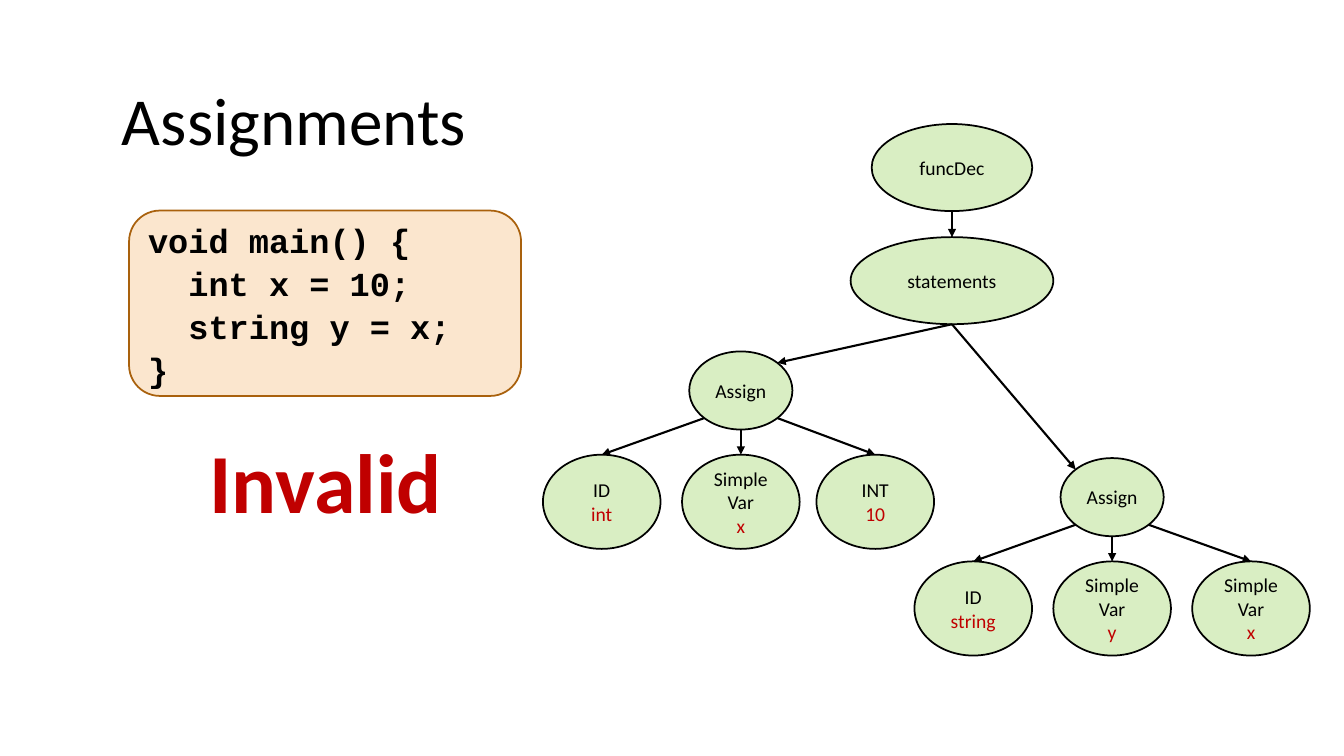
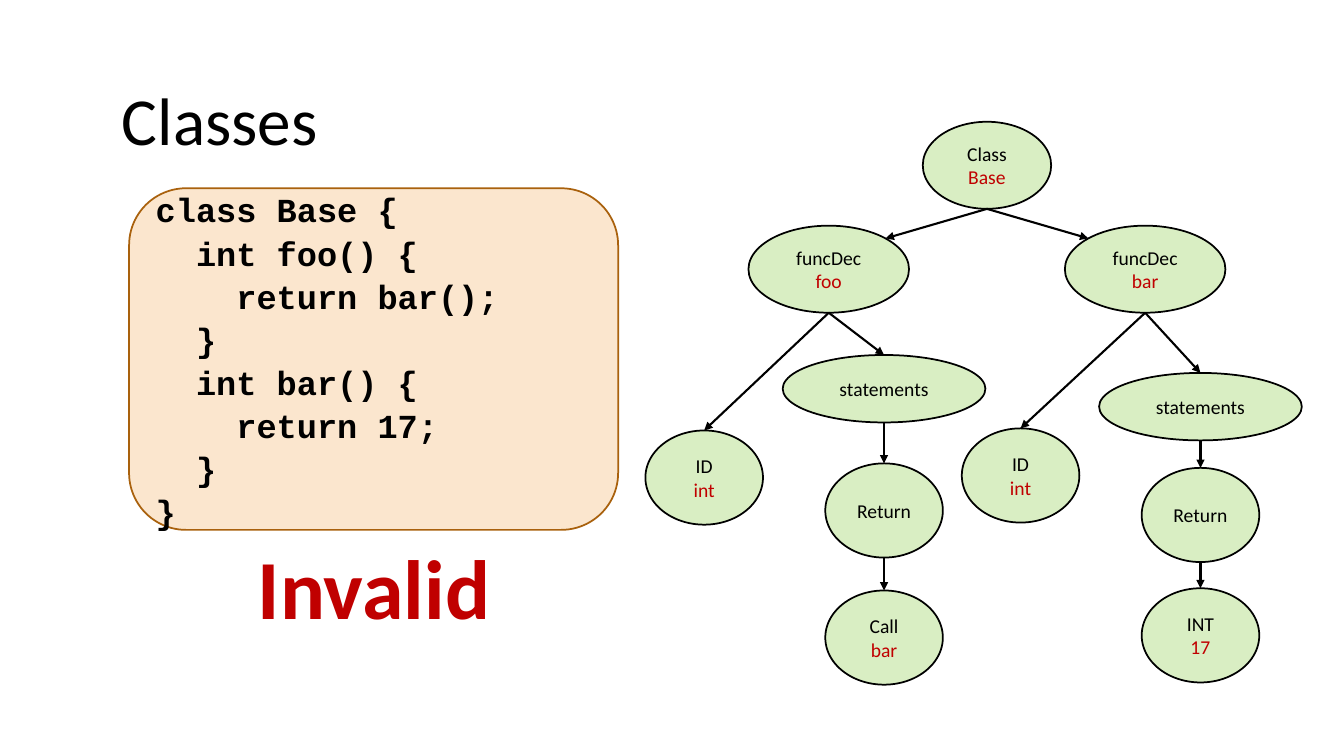
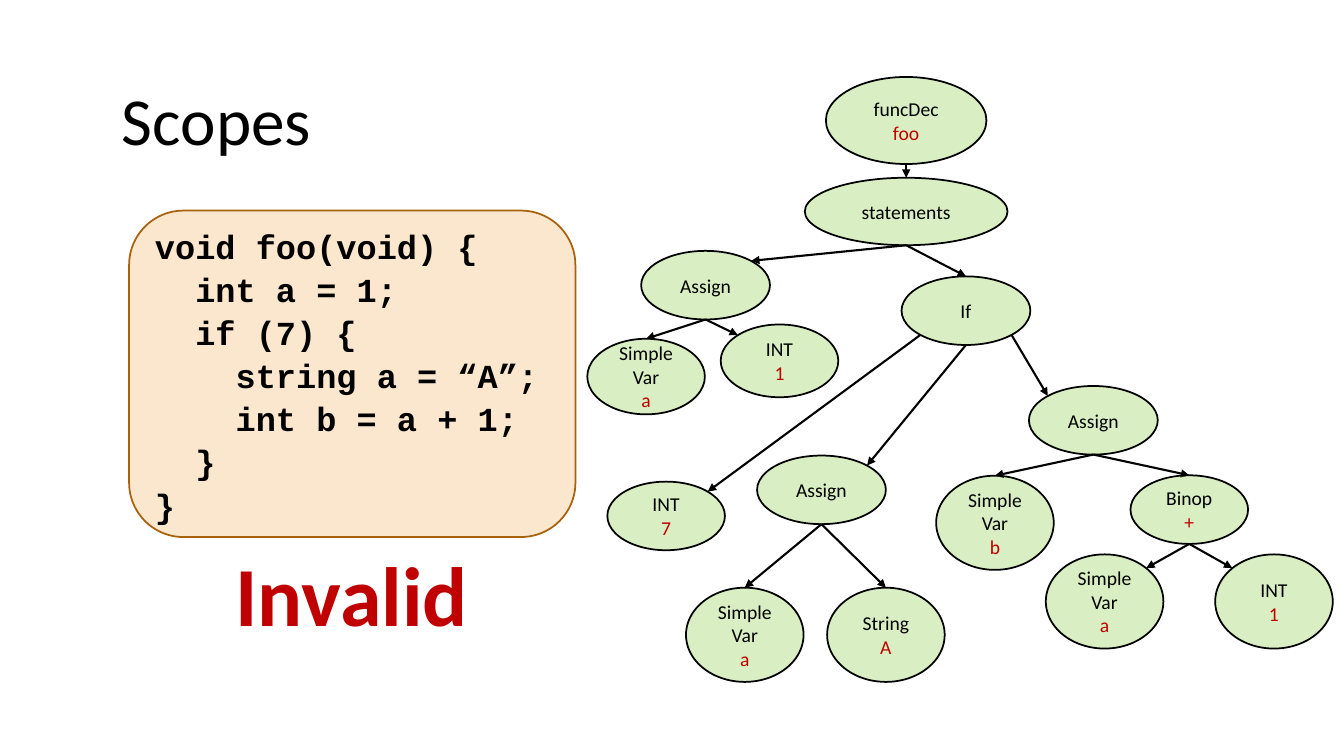
"""Build three slides that pair a code sample with its syntax tree."""
from dataclasses import dataclass

from lxml.etree import SubElement as Sub
from pptx import Presentation
from pptx.dml.color import RGBColor as Rgb
from pptx.enum.shapes import MSO_CONNECTOR as Conn, MSO_SHAPE as Form
from pptx.enum.text import MSO_ANCHOR as Anchor, PP_ALIGN as Align
from pptx.oxml.ns import qn
from pptx.util import Pt

HUE = {"ink": "000000", "mark": "C00000", "leaf": "92D050",
       "sand": "FBE6CE", "rim": "A9610D"}
HEAD = {"name": "Calibri", "size": Pt(48), "bold": False}
CODE = {"name": "Courier New", "size": Pt(24), "bold": True}
NOTE = {"name": "Calibri", "size": Pt(60), "bold": True}
TERM = {"name": "Calibri", "size": Pt(14), "bold": False}
LEFT = {"alignment": Align.LEFT}
MID = {"alignment": Align.CENTER}
LOOSE = {"alignment": Align.LEFT, "line_spacing": 1.07}

NEAR, FAR = 0.146, 0.854
PORT = {"n": (0.5, 0), "s": (0.5, 1), "nw": (NEAR, NEAR), "ne": (FAR, NEAR),
        "sw": (NEAR, FAR), "se": (FAR, FAR)}

LEAF = (84, 67.3)
FLAT = (84, 49)
FUNC = (114.7, 62.2)
WIDE = (144.8, 62.2)
SLIM = (144.8, 48.2)
STEP = (73.7, 55.8)
OVAL = (92, 49)


@dataclass(frozen=True)
class Node:
    """A tree node: centre x, top y, size, words, link ports and children."""
    x: float
    y: float
    size: tuple[float, float]
    words: str
    mark: str = ""
    link: str = "s n"
    kids: tuple["Node", ...] = ()

    def spot(self, port: str) -> tuple[float, float]:
        """Give the point of a port on the rim."""
        (fx, fy), (w, h) = PORT[port], self.size
        return self.x + (fx - 0.5) * w, self.y + fy * h


@dataclass(frozen=True)
class Page:
    """A slide: title, code, code box top and size, verdict place and tree."""
    title: str
    code: str
    top: float
    size: tuple[float, float]
    note: tuple[float, float]
    tree: Node


def fit(item, vals: dict) -> None:
    """Set each value as an attribute."""
    for key, val in vals.items():
        setattr(item, key, val)


def write(frame, rows: list[tuple[str, str]], font: dict, para: dict,
          anchor=Anchor.MIDDLE) -> None:
    """Fill a text frame with one paragraph per row of text and colour."""
    fit(frame, {"word_wrap": True, "vertical_anchor": anchor})
    for i, (text, hue) in enumerate(rows):
        line = frame.add_paragraph() if i else frame.paragraphs[0]
        fit(line, para)
        run = line.add_run()
        run.text = text
        fit(run.font, font)
        run.font.color.rgb = Rgb.from_string(HUE[hue])


def block(slide, form, box: tuple[float, ...], fill: str, rim: str):
    """Add a filled and outlined shape."""
    shape = slide.shapes.add_shape(form, *map(Pt, box))
    shape.shadow.inherit = False
    shape.fill.solid()
    shape.fill.fore_color.rgb = Rgb.from_string(HUE[fill])
    shape.line.color.rgb = Rgb.from_string(HUE[rim])
    shape.line.width = Pt(1.25)
    return shape


def arrow(slide, start: tuple[float, float], end: tuple[float, float]) -> None:
    """Add a straight arrow."""
    link = slide.shapes.add_connector(Conn.STRAIGHT, *map(Pt, start + end))
    link.line.color.rgb = Rgb.from_string(HUE["ink"])
    link.line.width = Pt(1.5)
    props = link.element.spPr
    Sub(props.find(qn("a:ln")), qn("a:tailEnd"), type="triangle")
    Sub(props, qn("a:effectLst"))


def grow(slide, node: Node) -> None:
    """Draw a node, its children and the arrows between them."""
    w, h = node.size
    shape = block(slide, Form.OVAL, (node.x - w / 2, node.y, w, h), "leaf", "ink")
    tint = shape.element.spPr.find(qn("a:solidFill"))[0]
    Sub(tint, qn("a:alpha"), val="34000")
    rows = [(word, "ink") for word in node.words.split()]
    if node.mark:
        rows.append((node.mark, "mark"))
    write(shape.text_frame, rows, TERM, MID)
    for kid in node.kids:
        out, into = kid.link.split()
        arrow(slide, node.spot(out), kid.spot(into))
        grow(slide, kid)


def draw(deck, page: Page) -> None:
    """Add one slide."""
    slide = deck.slides.add_slide(deck.slide_layouts[5])
    title = slide.shapes.title
    fit(title, {"left": Pt(79.9), "top": Pt(52.6),
                "width": Pt(798.5), "height": Pt(65.5)})
    write(title.text_frame, [(page.title, "ink")], HEAD, LEFT, Anchor.TOP)
    card = block(slide, Form.ROUNDED_RECTANGLE, (92.2, page.top, *page.size),
                 "sand", "rim")
    rows = [(row, "ink") for row in page.code.splitlines()]
    write(card.text_frame, rows, CODE, LOOSE)
    note = slide.shapes.add_textbox(*map(Pt, (*page.note, 220.3, 80)))
    write(note.text_frame, [("Invalid", "mark")], NOTE, MID, Anchor.TOP)
    grow(slide, page.tree)


def assign(x: float, y: float, link: str, kids: tuple) -> Node:
    """Make an assignment with three leaves, each given as x, words, mark."""
    links = ("sw n", "s n", "se n")
    return Node(x, y, STEP, "Assign", link=link, kids=tuple(
        Node(at, y + 73.8, LEAF, words, mark, way)
        for (at, words, mark), way in zip(kids, links)))


def method(x: float, name: str, link: str, rows: tuple, words: str,
           mark: str) -> Node:
    """Make a function whose body returns one leaf."""
    kind, body, back, last = rows
    mid = x + 39.5
    leaf = Node(mid, last, LEAF, words, mark)
    give = Node(mid, back, LEAF, "Return", kids=(leaf,))
    return Node(x, 161.2, FUNC, "funcDec", name, link, (
        Node(x - 89, kind, LEAF, "ID", "int"),
        Node(mid, body, SLIM, "statements", kids=(give,))))


PAGES = (
    Page("Assignments", """\
void main() {
  int x = 10;
  string y = x;
}""", 150.4, (280, 132.4), (122.4, 303.1),
         Node(680, 88.6, FUNC, "funcDec", kids=(
             Node(680, 169.4, WIDE, "statements", kids=(
                 assign(529.2, 251, "s ne", (
                     (429.8, "ID", "int"), (529.2, "Simple Var", "x"),
                     (625.2, "INT", "10"))),
                 assign(794.4, 327.2, "s nw", (
                     (695.2, "ID", "string"), (794.4, "Simple Var", "y"),
                     (893.6, "Simple Var", "x"))))),))),
    Page("Classes", """\
class Base {
  int foo() {
    return bar();
  }
  int bar() {
    return 17;
  }
}""", 134.5, (349.3, 244), (157, 378.7),
         Node(705, 87, (91.7, 62.2), "Class", "Base", kids=(
             method(592, "foo", "s ne", (307.5, 253.6, 331, 421.8), "Call", "bar"),
             method(818, "bar", "s nw", (306, 266.4, 334.2, 420.2), "INT", "17")))),
    Page("Scopes", """\
void foo(void) {
  int a = 1;
  if (7) {
    string a = “A”;
    int b = a + 1;
  }
}""", 150.4, (318.8, 233.2), (141.1, 383.8),
         Node(647.3, 55, FUNC, "funcDec", "foo", kids=(
             Node(647.3, 127, SLIM, "statements", kids=(
                 Node(504, 179.2, OVAL, "Assign", link="s ne", kids=(
                     Node(461.5, 242, (84, 54), "Simple Var", "a"),
                     Node(556.8, 231.8, (84, 52), "INT", "1", "s nw"))),
                 Node(690, 197.4, OVAL, "If", kids=(
                     Node(475.8, 344, FLAT, "INT", "7", "sw ne"),
                     Node(586.8, 325.4, OVAL, "Assign", link="s ne", kids=(
                         Node(532, 419.8, LEAF, "Simple Var", "a"),
                         Node(632.8, 419.8, LEAF, "String", "A"))),
                     Node(781, 275.7, OVAL, "Assign", link="se nw", kids=(
                         Node(710.7, 339.8, LEAF, "Simple Var", "b"),
                         Node(849.5, 339.5, FLAT, "Binop", "+", kids=(
                             Node(789, 396, LEAF, "Simple Var", "a", "s ne"),
                             Node(910, 396, LEAF, "INT", "1", "s nw"))))))))),))),
)


def main() -> None:
    """Build and save the deck."""
    deck = Presentation()
    fit(deck, {"slide_width": Pt(960), "slide_height": Pt(540)})
    for page in PAGES:
        draw(deck, page)
    deck.save("out.pptx")


if __name__ == "__main__":
    main()
